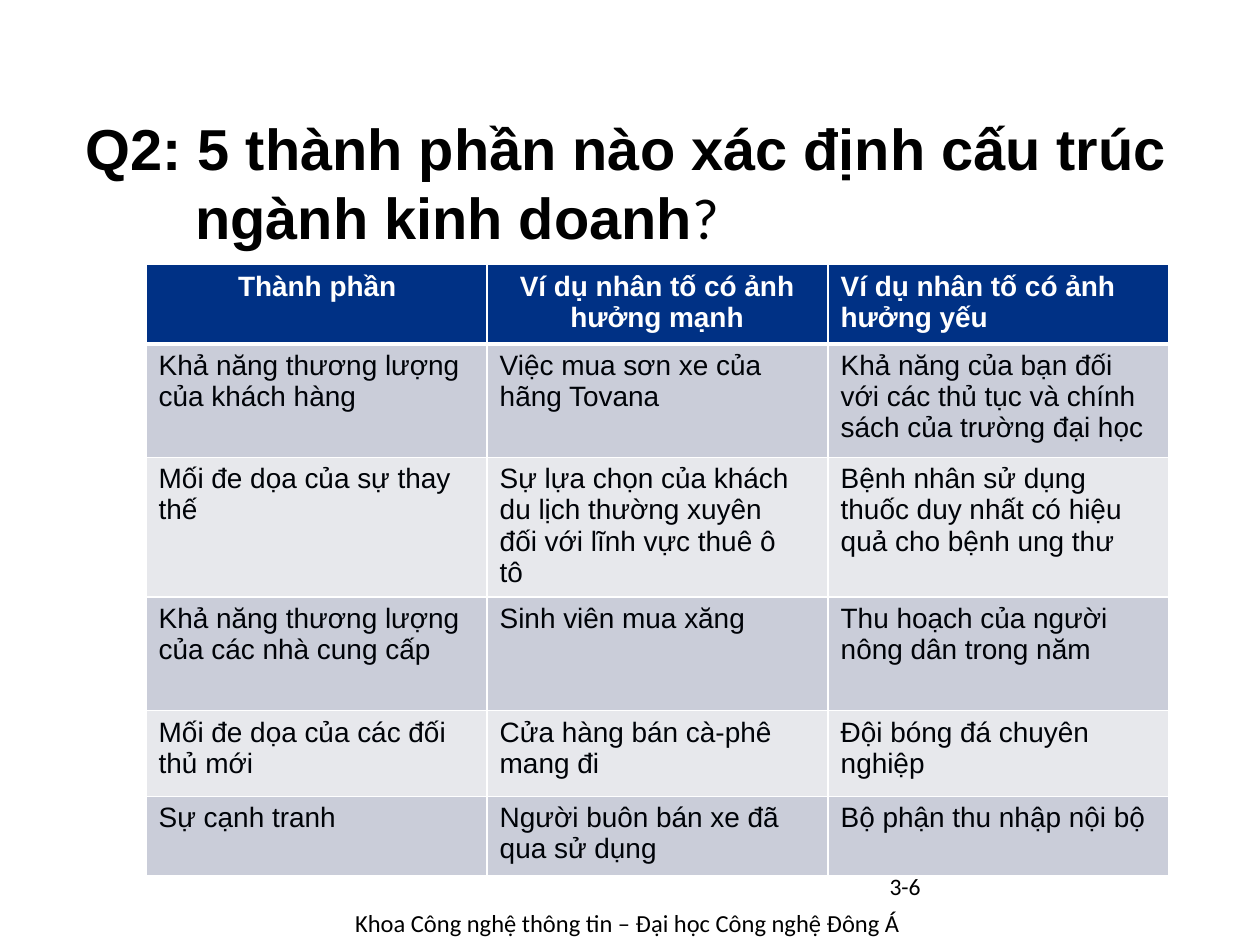
from lxml import etree
from pptx import Presentation
from pptx.dml.color import RGBColor
from pptx.enum.text import MSO_ANCHOR, MSO_AUTO_SIZE
from pptx.oxml.ns import qn
from pptx.util import Inches, Pt

MIDDLE = MSO_ANCHOR.MIDDLE
TOP = MSO_ANCHOR.TOP
NO_AUTOFIT = MSO_AUTO_SIZE.NONE

HEADER = ["Thành phần", "Ví dụ nhân tố có ảnh\vhưởng mạnh", "Ví dụ nhân tố có ảnh\vhưởng yếu"]
HEADER_INDENTS = [(0.73, 0), (0.66, -0.4), (0.1, 0)]
ROWS = [
    ["Khả năng thương lượng\vcủa khách hàng",
     "Việc mua sơn xe của\vhãng Tovana",
     "Khả năng của bạn đối\vvới các thủ tục và chính\vsách của trường đại học"],
    ["Mối đe dọa của sự thay\vthế",
     "Sự lựa chọn của khách\vdu lịch thường xuyên\nđối với lĩnh vực thuê ô\vtô",
     "Bệnh nhân sử dụng\nthuốc duy nhất có hiệu\vquả cho bệnh ung thư"],
    ["Khả năng thương lượng\ncủa các nhà cung cấp",
     "Sinh viên mua xăng",
     "Thu hoạch của người\nnông dân trong năm"],
    ["Mối đe dọa của các đối\vthủ mới",
     "Cửa hàng bán cà-phê\vmang đi",
     "Đội bóng đá chuyên\vnghiệp"],
    ["Sự cạnh tranh",
     "Người buôn bán xe đã\vqua sử dụng",
     "Bộ phận thu nhập nội bộ"],
]
ROW_HEIGHTS = [0.63, 0.9, 1.11, 0.9, 0.68, 0.63]


def color(hex_code):
    return RGBColor.from_string(hex_code)


class SlideBuilder:
    BLACK, WHITE, NAVY, INK = "000000", "FFFFFF", "003185", "000308"
    BANDS = ["CACDD9", "E7E8EC"]
    HEADING_FONT, NOTE_FONT = "Arial", "Calibri"

    def __init__(self, slide):
        self.slide = slide

    def format_run(self, run, font, size, hex_code, bold=False):
        run.font.name = font
        run.font.size = Pt(size)
        run.font.bold = bold
        run.font.color.rgb = color(hex_code)

    def indent(self, paragraph, left, first=0):
        properties = paragraph._p.get_or_add_pPr()
        properties.set("marL", str(Inches(left)))
        properties.set("indent", str(Inches(first)))

    def text(self, left, top, width, height, text, font, size,
             bold=False, wrap=True, inset=0, anchor=TOP):
        box = self.slide.shapes.add_textbox(
            Inches(left), Inches(top), Inches(width), Inches(height))
        frame = box.text_frame
        frame.word_wrap = wrap
        frame.auto_size = NO_AUTOFIT
        frame.vertical_anchor = anchor
        frame.margin_left = frame.margin_right = Inches(inset)
        frame.margin_top = frame.margin_bottom = Inches(inset / 2)
        frame.text = text
        paragraph = frame.paragraphs[0]
        for run in paragraph.runs:
            self.format_run(run, font, size, self.BLACK, bold)
        return paragraph

    def border(self, cell, side, width):
        line = etree.SubElement(cell._tc.get_or_add_tcPr(), qn(f"a:ln{side}"), w=str(Pt(width)))
        fill = etree.SubElement(line, qn("a:solidFill"))
        etree.SubElement(fill, qn("a:srgbClr"), val=self.WHITE)

    def cell(self, cell, text, fill, hex_code, indent=(0.1, 0), bold=False, top=1, bottom=1):
        for side, width in zip("LRTB", (1, 1, top, bottom)):
            self.border(cell, side, width)
        cell.fill.solid()
        cell.fill.fore_color.rgb = color(fill)
        cell.margin_left = cell.margin_right = cell.margin_bottom = 0
        cell.margin_top = Inches(0.05)
        cell.text_frame.text = text
        for paragraph in cell.text_frame.paragraphs:
            self.indent(paragraph, *indent)
            for run in paragraph.runs:
                self.format_run(run, self.HEADING_FONT, 16, hex_code, bold)

    def table(self, left, top, width, row_heights, header, header_indents, rows):
        table = self.slide.shapes.add_table(
            len(rows) + 1, len(header), Inches(left), Inches(top),
            Inches(width), Inches(sum(row_heights))).table
        for row, height in zip(table.rows, row_heights):
            row.height = Inches(height)
        for column, (text, indent) in enumerate(zip(header, header_indents)):
            self.cell(table.cell(0, column), text, self.NAVY, self.WHITE, indent, True, bottom=3)
        for number, texts in enumerate(rows, start=1):
            for column, text in enumerate(texts):
                self.cell(table.cell(number, column), text, self.BANDS[(number - 1) % 2],
                          self.INK, top=3 if number == 1 else 1)


def main():
    presentation = Presentation()
    presentation.slide_width, presentation.slide_height = Inches(10), Inches(7.5)
    builder = SlideBuilder(presentation.slides.add_slide(presentation.slide_layouts[6]))

    # Footer
    builder.text(2.72, 7.16, 4.57, 0.34, "Khoa Công nghệ thông tin – Đại học Công nghệ Đông Á",
                 builder.NOTE_FONT, 14, wrap=False, inset=0.1)

    # Title, with a plain question mark
    title = builder.text(0.66, 0.88, 8.62, 1.13,
                         "Q2: 5 thành phần nào xác định cấu trúc\vngành kinh doanh",
                         builder.HEADING_FONT, 33, bold=True, anchor=MIDDLE)
    builder.indent(title, 0.89, -0.87)
    question_mark = title.add_run()
    question_mark.text = "?"
    builder.format_run(question_mark, builder.NOTE_FONT, 33, builder.BLACK)

    # Page number
    page_number = builder.text(7.06, 6.95, 2.25, 0.4, "3-6", builder.NOTE_FONT, 13.5)
    page_number.line_spacing = Pt(14.2)

    # Table of the five forces
    builder.table(1.16, 2.1, 8.12, ROW_HEIGHTS, HEADER, HEADER_INDENTS, ROWS)

    presentation.save("out.pptx")


if __name__ == "__main__":
    main()
